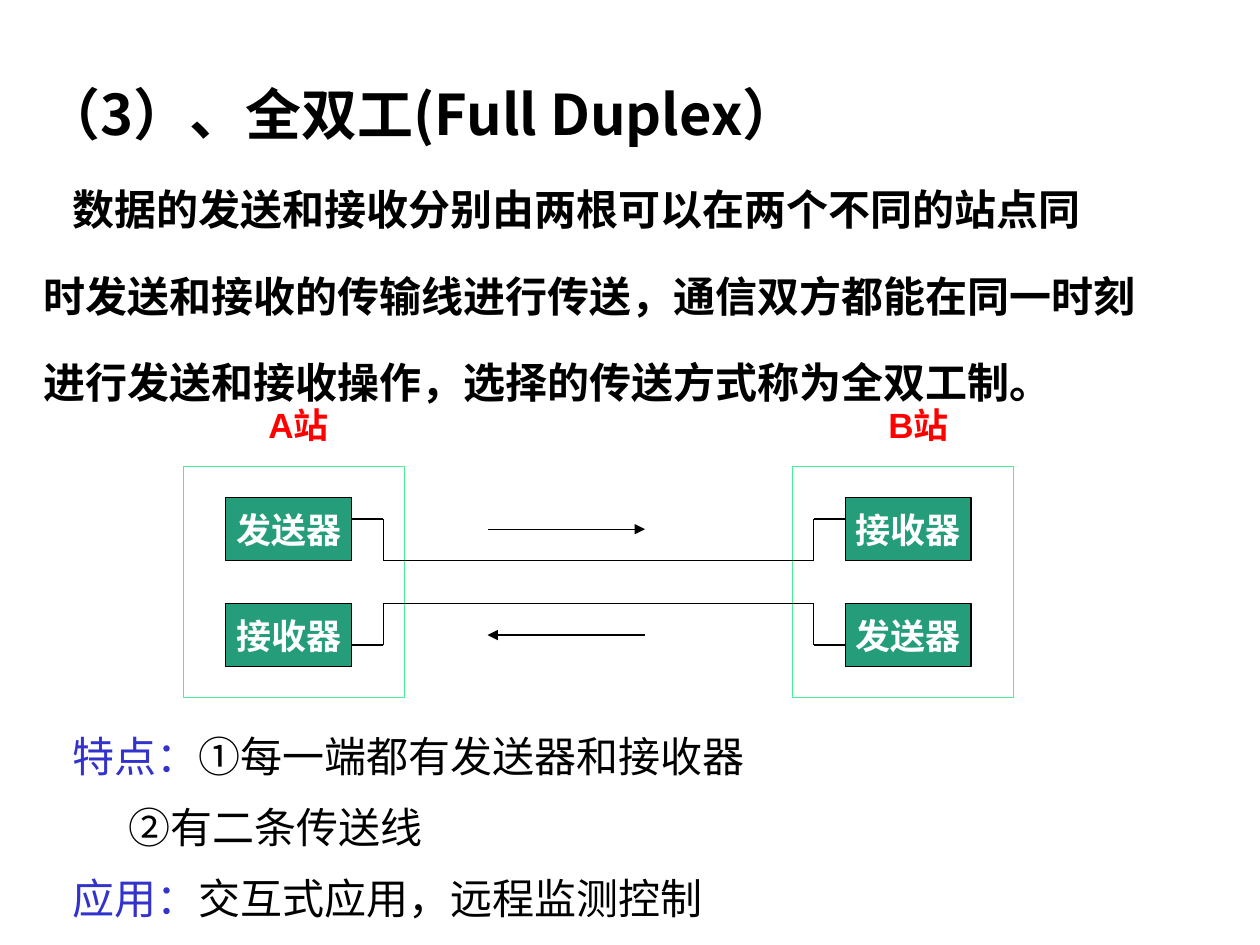
from itertools import pairwise
from lxml import etree
from pptx import Presentation
from pptx.dml.color import RGBColor
from pptx.enum.shapes import MSO_CONNECTOR, MSO_SHAPE
from pptx.enum.text import MSO_ANCHOR, MSO_AUTO_SIZE, PP_ALIGN
from pptx.oxml.ns import qn
from pptx.util import Pt

RECT, STRAIGHT = MSO_SHAPE.RECTANGLE, MSO_CONNECTOR.STRAIGHT
LEFT, CENTER = PP_ALIGN.LEFT, PP_ALIGN.CENTER
TOP, MIDDLE = MSO_ANCHOR.TOP, MSO_ANCHOR.MIDDLE
CJK, LATIN = "Noto Sans CJK SC", "Arial"
BLACK, WHITE, RED, BLUE = "000000", "FFFFFF", "FF0000", "3333CC"
GREEN, MINT = "259D7B", "49EF94"

# Content: each paragraph is (first-line indent, [(text, colour), ...])
HEADING = [(0, [("（3）、全双工(Full Duplex）", BLACK)])]
DEFINITION = [
    (16.5, [("数据的发送和接收分别由两根可以在两个不同的站点同", BLACK)]),
    (0, [("时发送和接收的传输线进行传送，通信双方都能在同一时刻", BLACK)]),
    (0, [("进行发送和接收操作，选择的传送方式称为全双工制。", BLACK)]),
]
FEATURES = [
    (16.5, [("特点：", BLUE), ("①每一端都有发送器和接收器", BLACK)]),
    (48.5, [("②有二条传送线", BLACK)]),
    (16.5, [("应用：", BLUE), ("交互式应用，远程监测控制", BLACK)]),
]
# Station: label, label left, frame left, unit left, units from top to bottom
STATIONS = [
    ("A站", 134.6, 105, 129, ["发送器", "接收器"]),
    ("B站", 489, 453, 483, ["接收器", "发送器"]),
]

# Diagram measures
LABEL_TOP, FRAME_TOP, UNIT_TOP, UNIT_STEP = 224.6, 266.4, 284.4, 60.5
FRAME_W, FRAME_H, UNIT_W, UNIT_H = 126, 132, 72, 36
STUB = 18
UNIT_A_RIGHT, UNIT_B_LEFT = 129 + UNIT_W, 483
WIRES = [(296.6, 320.4), (368.6, 344.9)]  # height at the units, height between
ARROWS = [(278.6, 368.6, 302.4), (368.6, 278.6, 362.9)]  # from x, to x, y


def rgb(value):
    return RGBColor.from_string(value)


def write(shape, paragraphs, size=24, font=CJK, bold=False, align=LEFT,
          anchor=TOP, spacing=1.0, before=0, wrap=True):
    frame = shape.text_frame
    frame.word_wrap, frame.auto_size = wrap, MSO_AUTO_SIZE.NONE
    frame.vertical_anchor = anchor
    for index, (indent, pieces) in enumerate(paragraphs):
        para = frame.add_paragraph() if index else frame.paragraphs[0]
        para.alignment, para.line_spacing = align, spacing
        para.space_before = Pt(before if index else 0)
        props = para._p.get_or_add_pPr()
        props.set("marL", "0")
        props.set("indent", str(int(Pt(indent))))
        etree.SubElement(props, qn("a:buNone"))
        for text, color in pieces:
            run = para.add_run()
            run.text = text
            run.font.size, run.font.bold, run.font.name = Pt(size), bold, font
            run.font.color.rgb = rgb(color)
            east_asian = etree.SubElement(run._r.get_or_add_rPr(), qn("a:ea"))
            east_asian.set("typeface", CJK)


def place(shape, left, top, width, height):
    shape.left, shape.top = Pt(left), Pt(top)
    shape.width, shape.height = Pt(width), Pt(height)
    return shape


def add_box(left, top, width, height, line, fill=None):
    box = slide.shapes.add_shape(RECT, Pt(left), Pt(top), Pt(width), Pt(height))
    box.shadow.inherit = False
    box.line.color.rgb, box.line.width = rgb(line), Pt(0.75)
    if fill:
        box.fill.solid()
        box.fill.fore_color.rgb = rgb(fill)
    else:
        box.fill.background()
    return box


def add_line(start, end, arrow=False):
    line = slide.shapes.add_connector(STRAIGHT, *map(Pt, start + end))
    line.line.color.rgb, line.line.width = rgb(BLACK), Pt(0.75)
    etree.SubElement(line._element.spPr, qn("a:effectLst"))
    if arrow:
        head = etree.SubElement(line.line._get_or_add_ln(), qn("a:tailEnd"))
        head.set("type", "triangle")


prs = Presentation()
prs.slide_width, prs.slide_height = Pt(720), Pt(540)
slide = prs.slides.add_slide(prs.slide_layouts[1])
title, body = slide.placeholders

# Heading, definition and features
write(place(title, 18, 34, 702, 54), HEADING, size=32, bold=True, spacing=1.2)
definition = slide.shapes.add_textbox(Pt(18), Pt(95.5), Pt(702), Pt(140.5))
write(definition, DEFINITION, bold=True, spacing=1.2, before=15)
write(place(body, 18, 408, 678, 126), FEATURES, spacing=1.2, before=6)

# Stations with their units
for name, label_left, frame_left, unit_left, units in STATIONS:
    add_box(frame_left, FRAME_TOP, FRAME_W, FRAME_H, MINT)
    for row, unit in enumerate(units):
        box = add_box(unit_left, UNIT_TOP + row * UNIT_STEP, UNIT_W, UNIT_H,
                      BLACK, GREEN)
        write(box, [(0, [(unit, WHITE)])], size=20, font=LATIN, bold=True,
              align=CENTER, anchor=MIDDLE, wrap=False)
    label = slide.shapes.add_textbox(Pt(label_left), Pt(LABEL_TOP),
                                     Pt(UNIT_W), Pt(UNIT_H))
    write(label, [(0, [(name, RED)])], size=20, font=LATIN, bold=True,
          align=CENTER, anchor=MIDDLE, wrap=False)

# Transmission lines and direction arrows
for unit_y, middle_y in WIRES:
    bend_a, bend_b = UNIT_A_RIGHT + STUB, UNIT_B_LEFT - STUB
    route = [(UNIT_A_RIGHT, unit_y), (bend_a, unit_y), (bend_a, middle_y),
             (bend_b, middle_y), (bend_b, unit_y), (UNIT_B_LEFT, unit_y)]
    for start, end in pairwise(route):
        add_line(start, end)
for from_x, to_x, y in ARROWS:
    add_line((from_x, y), (to_x, y), arrow=True)

prs.save("out.pptx")
